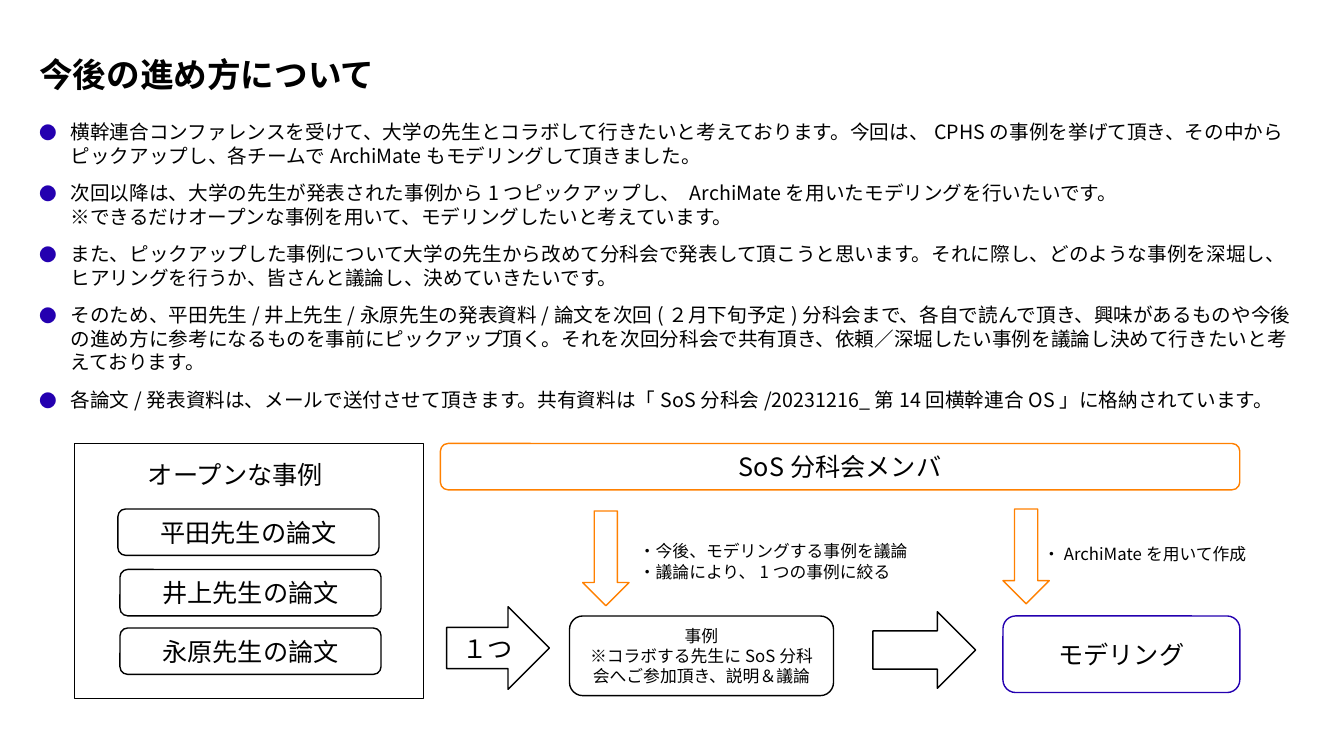
import pptx
import pptx.dml.color
import pptx.enum.shapes
import pptx.enum.text
import pptx.oxml.ns
import pptx.util
from lxml import etree

Pt = pptx.util.Pt
Form = pptx.enum.shapes.MSO_SHAPE
Align = pptx.enum.text.PP_ALIGN
Anchor = pptx.enum.text.MSO_ANCHOR
qn = pptx.oxml.ns.qn

FONT = "Noto Sans CJK JP"
COLORS = {"text": "000000", "fill": "FFFFFF", "blue": "2400B0", "orange": "FF8000"}

POINTS = [
    "横幹連合コンファレンスを受けて、大学の先生とコラボして行きたいと考えております。"
    "今回は、CPHSの事例を挙げて頂き、その中からピックアップし、"
    "各チームでArchiMateもモデリングして頂きました。",
    "次回以降は、大学の先生が発表された事例から1つピックアップし、 "
    "ArchiMateを用いたモデリングを行いたいです。\v"
    "※できるだけオープンな事例を用いて、モデリングしたいと考えています。",
    "また、ピックアップした事例について大学の先生から改めて分科会で発表して頂こうと思います。"
    "それに際し、どのような事例を深堀し、ヒアリングを行うか、皆さんと議論し、決めていきたいです。",
    "そのため、平田先生/井上先生/永原先生の発表資料/論文を次回(２月下旬予定)分科会まで、"
    "各自で読んで頂き、興味があるものや今後の進め方に参考になるものを事前にピックアップ頂く。"
    "それを次回分科会で共有頂き、依頼／深堀したい事例を議論し決めて行きたいと考えております。",
    "各論文/発表資料は、メールで送付させて頂きます。"
    "共有資料は「SoS分科会/20231216_第14回横幹連合OS」に格納されています。",
]

# Form, box, line colour, text lines, text size
SHAPES = [
    (Form.RECTANGLE, (53.3, 316.8, 249.1, 182.2), "text", [], 18),
    (Form.ROUNDED_RECTANGLE, (84.2, 363.6, 186.5, 33.1), "text", ["平田先生の論文"], 18),
    (Form.ROUNDED_RECTANGLE, (85.7, 406.8, 186.5, 33.1), "text", ["井上先生の論文"], 18),
    (Form.ROUNDED_RECTANGLE, (85.7, 448.6, 186.5, 33.1), "text", ["永原先生の論文"], 18),
    (Form.ROUNDED_RECTANGLE, (406.8, 440, 188.6, 56.9), "text",
     ["事例", "※コラボする先生にSoS分科会へご参加頂き、説明＆議論"], 12),
    (Form.RIGHT_ARROW, (319, 433.4, 73.4, 59), "text", ["１つ"], 18),
    (Form.RIGHT_ARROW, (623.5, 437, 73.4, 54.7), "text", [], 18),
    (Form.ROUNDED_RECTANGLE, (716.4, 440, 169.2, 54.7), "blue", ["モデリング"], 18),
    (Form.ROUNDED_RECTANGLE, (314.6, 316.8, 571, 33.1), "orange", ["SoS分科会メンバ"], 18),
]
DOWN = [(398.9, 382.3, 67.7, 33.1), (699.1, 380.9, 67.7, 33.1)]

# Box, text lines, text size
LABELS = [
    ((449.3, 383, 241.2, 38.9), ["・今後、モデリングする事例を議論", "・議論により、1つの事例に絞る"], 12),
    ((738, 384.5, 170.6, 23), ["・ArchiMateを用いて作成"], 12),
    ((98.6, 324.7, 145.4, 28.8), ["オープンな事例"], 18),
]


def paint(name):
    return pptx.dml.color.RGBColor.from_string(COLORS[name])


def apply(item, values):
    for key, value in values.items():
        setattr(item, key, value)


def place(shape, box):
    apply(shape, dict(zip(("left", "top", "width", "height"), map(Pt, box))))


def write(frame, lines, size, bold=False, **style):
    """Fill a frame with paragraphs in one font for all scripts."""
    for i, line in enumerate(lines):
        para = frame.paragraphs[0] if i == 0 else frame.add_paragraph()
        para.text = line
        apply(para, style)
        for run in para.runs:
            apply(run.font, {"name": FONT, "size": Pt(size), "bold": bold})
            run.font.color.rgb = paint("text")
            run.font._element.find(qn("a:latin")).addnext(
                etree.Element(qn("a:ea"), typeface=FONT))
        for gap in para._p.findall(qn("a:br")):
            etree.SubElement(gap, qn("a:rPr"), sz=str(size * 100))


def add_bullet(para):
    props = para._p.get_or_add_pPr()
    apply_xml = {"marL": str(Pt(22.5)), "indent": str(-Pt(22.5))}
    for key, value in apply_xml.items():
        props.set(key, value)
    color = etree.SubElement(props, qn("a:buClr"))
    etree.SubElement(color, qn("a:srgbClr"), val=COLORS["blue"])
    etree.SubElement(props, qn("a:buSzPct"), val="90000")
    etree.SubElement(props, qn("a:buFont"), typeface=FONT)
    etree.SubElement(props, qn("a:buChar"), char="●")


def add_title(slide, text):
    title = slide.shapes.title
    place(title, (28, 28.8, 866.2, 43.2))
    frame = title.text_frame
    apply(frame, {"margin_left": 0, "margin_top": Pt(8.6), "margin_right": 0,
                  "margin_bottom": 0, "vertical_anchor": Anchor.MIDDLE,
                  "auto_size": pptx.enum.text.MSO_AUTO_SIZE.NONE})
    write(frame, [text], 24, bold=True, alignment=Align.LEFT, line_spacing=0.9)


def add_label(slide, box, lines, size):
    label = slide.shapes.add_textbox(*map(Pt, box))
    label.text_frame.word_wrap = True
    write(label.text_frame, lines, size)
    return label.text_frame


def add_points(slide):
    frame = add_label(slide, (28, 85.7, 896.4, 216), POINTS, 14)
    sides = ("left", "top", "right", "bottom")
    apply(frame, {f"margin_{side}": 0 for side in sides})
    for i, para in enumerate(frame.paragraphs):
        para.space_before = Pt(10 if i else 0)
        add_bullet(para)


def add_form(slide, form, box, line, lines=(), size=18, turn=0):
    shape = slide.shapes.add_shape(form, *map(Pt, box))
    shape.rotation = turn
    shape.shadow.inherit = False
    shape.fill.solid()
    shape.fill.fore_color.rgb = paint("fill")
    shape.line.color.rgb = paint(line)
    shape.line.width = Pt(1)
    shape.text_frame.vertical_anchor = Anchor.MIDDLE
    write(shape.text_frame, lines, size, alignment=Align.CENTER)


def main():
    deck = pptx.Presentation()
    apply(deck, {"slide_width": Pt(960), "slide_height": Pt(540)})
    slide = deck.slides.add_slide(deck.slide_layouts[5])

    # Title and plan
    add_title(slide, "今後の進め方について")
    add_points(slide)

    # Flow from open cases to modelling
    for item in SHAPES:
        add_form(slide, *item)
    for box in DOWN:
        add_form(slide, Form.RIGHT_ARROW, box, "orange", turn=90)
    for item in LABELS:
        add_label(slide, *item)

    deck.save("out.pptx")


if __name__ == "__main__":
    main()
